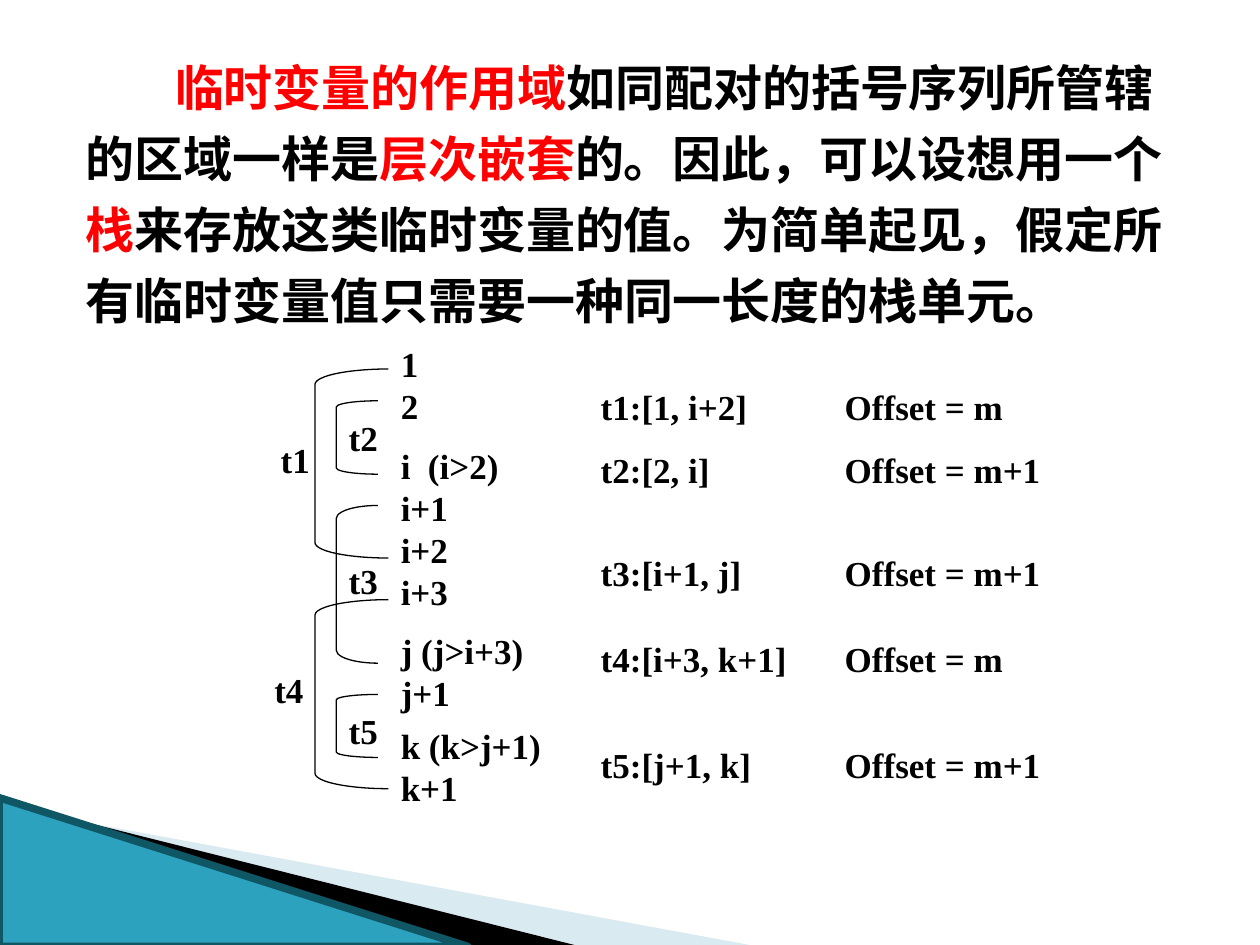
"""Build the slide on nested scopes of temporary variables kept on a stack."""
from dataclasses import dataclass

from lxml import etree
from pptx import Presentation
from pptx.dml.color import RGBColor
from pptx.enum import shapes, text
from pptx.oxml import ns
from pptx.util import Cm, Pt


@dataclass(frozen=True)
class Theme:
    font: str = "Times New Roman"
    ink: str = "000000"
    accent: str = "FF0000"
    teal: str = "2DA2BF"
    teal_dark: str = "105766"
    teal_line: str = "97C5D8"
    teal_pale: str = "A0CBDC"
    intro_size: float = 28
    intro_pitch: float = 40.5
    label_size: float = 20
    label_pitch: float = 24


@dataclass(frozen=True)
class Scope:
    name: str
    extent: str
    offset: str
    outer: bool
    top: float
    height: float
    bend: float
    label_left: float
    label_top: float
    row_top: float


@dataclass(frozen=True)
class Step:
    label: str
    gap: float = 0


THEME = Theme()
ROW_LEFT = 11.86
LABEL_HEIGHT = 1.09

SCOPES = [
    Scope("t1", "[1, i+2]", "m", True, 7.44, 3.81, 0.21, 5.41, 8.71, 7.65),
    Scope("t2", "[2, i]", "m+1", False, 8.08, 1.48, 0.15, 6.78, 8.28, 8.92),
    Scope("t3", "[i+1, j]", "m+1", False, 10.19, 3.18, 0.31, 6.78, 11.15, 11.0),
    Scope("t4", "[i+3, k+1]", "m", True, 12.09, 3.81, 0.21, 5.28, 13.36, 12.73),
    Scope("t5", "[j+1, k]", "m+1", False, 14.0, 1.27, 0.13, 6.78, 14.17, 14.86),
]

STEPS = [
    Step("1"), Step("2"), Step("i  (i>2)", 10), Step("i+1"), Step("i+2"),
    Step("i+3"), Step("j (j>i+3)", 10), Step("j+1"), Step("k (k>j+1)", 6), Step("k+1"),
]

INTRO = [
    ("临时变量的作用域", THEME.accent),
    ("如同配对的括号序列所管辖的区域一样是", THEME.ink),
    ("层次嵌套", THEME.accent),
    ("的。因此，可以设想用一个", THEME.ink),
    ("栈", THEME.accent),
    ("来存放这类临时变量的值。为简单起见，假定所有临时变量值只需要一种同一长度的栈单元。", THEME.ink),
]


def style_span(span, size: float, color: str) -> None:
    """Apply the slide's bold face to a run."""
    span.font.name = THEME.font
    span.font.size = Pt(size)
    span.font.bold = True
    span.font.color.rgb = RGBColor.from_string(color)


def add_box(page, left: float, top: float, width: float, height: float):
    """Add an empty wrapping text box and return its text frame."""
    frame = page.shapes.add_textbox(Cm(left), Cm(top), Cm(width), Cm(height)).text_frame
    frame.word_wrap = True
    frame.auto_size = text.MSO_AUTO_SIZE.SHAPE_TO_FIT_TEXT
    return frame


def add_label(page, words: str, left: float, top: float, width: float,
              height: float = LABEL_HEIGHT):
    """Add label text, one paragraph per line, and return its frame."""
    frame = add_box(page, left, top, width, height)
    frame.text = words
    for para in frame.paragraphs:
        para.line_spacing = Pt(THEME.label_pitch)
        for span in para.runs:
            style_span(span, THEME.label_size, THEME.ink)
    return frame


def add_row(page, scope: Scope) -> None:
    """Write a scope's extent and its offset at a tab stop."""
    words = f"{scope.name}:{scope.extent}\tOffset = {scope.offset}"
    frame = add_label(page, words, ROW_LEFT, scope.row_top, 11.23)
    properties = frame.paragraphs[0]._p.get_or_add_pPr()
    stops = etree.SubElement(properties, ns.qn("a:tabLst"))
    etree.SubElement(stops, ns.qn("a:tab"), pos=str(Cm(4.92)), algn="l")


def add_bracket(page, scope: Scope) -> None:
    """Draw the bracket that spans a scope."""
    left, width = (6.35, 1.48) if scope.outer else (6.78, 0.84)
    bracket = page.shapes.add_shape(shapes.MSO_SHAPE.LEFT_BRACKET, Cm(left),
                                    Cm(scope.top), Cm(width), Cm(scope.height))
    bracket.adjustments[0] = scope.bend
    bracket.shadow.inherit = False
    bracket.fill.background()
    bracket.line.color.rgb = RGBColor.from_string(THEME.ink)
    bracket.line.width = Pt(0.75)


def fill_solid(shape, color: str) -> None:
    """Fill a shape with one colour and no shadow."""
    shape.shadow.inherit = False
    shape.fill.solid()
    shape.fill.fore_color.rgb = RGBColor.from_string(color)


def add_wedge(page, points: list[tuple[float, float]], color: str):
    """Draw a borderless filled outline."""
    start, *rest = [(Cm(x), Cm(y)) for x, y in points]
    builder = page.shapes.build_freeform(*start)
    builder.add_line_segments(rest, close=True)
    wedge = builder.convert_to_shape()
    fill_solid(wedge, color)
    wedge.line.fill.background()
    return wedge


def add_corner(page) -> None:
    """Draw the layered wedges in the lower left corner."""
    pale = add_wedge(page, [(1.4, 16.52), (15.11, 19.05), (11.58, 19.05)], THEME.teal_pale)
    tint = pale.fill._xPr.find(".//" + ns.qn("a:srgbClr"))
    etree.SubElement(tint, ns.qn("a:alpha"), val="40000")
    add_wedge(page, [(1.35, 16.48), (11.58, 19.05), (9.45, 19.05)], THEME.ink)
    edge = page.shapes.add_connector(shapes.MSO_CONNECTOR.STRAIGHT,
                                     Cm(0), Cm(16.08), Cm(9.42), Cm(19.05))
    edge.line.color.rgb = RGBColor.from_string(THEME.teal_line)
    edge.line.width = Pt(0.95)
    etree.SubElement(edge._element.spPr, ns.qn("a:effectLst"))
    triangle = page.shapes.add_shape(shapes.MSO_SHAPE.RIGHT_TRIANGLE,
                                     Cm(-0.02), Cm(16.08), Cm(9.45), Cm(3))
    fill_solid(triangle, THEME.teal)
    triangle.line.color.rgb = RGBColor.from_string(THEME.teal_dark)
    triangle.line.width = Pt(4.33)


def add_intro(page) -> None:
    """Write the opening paragraph with its highlighted terms."""
    para = add_box(page, 1.48, 0.79, 22.43, 5.87).paragraphs[0]
    para.line_spacing = Pt(THEME.intro_pitch)
    para._p.get_or_add_pPr().set("indent", str(Cm(1.8)))
    for words, color in INTRO:
        span = para.add_run()
        span.text = words
        style_span(span, THEME.intro_size, color)


def add_steps(page) -> None:
    """List the instruction numbers beside the brackets."""
    words = "\n".join(step.label for step in STEPS)
    frame = add_label(page, words, 7.83, 6.78, 3.9, 9.83)
    for para, step in zip(frame.paragraphs, STEPS):
        para.space_before = Pt(step.gap)


def main() -> None:
    """Build and save the deck."""
    deck = Presentation()
    deck.slide_width, deck.slide_height = Cm(25.4), Cm(19.05)
    page = deck.slides.add_slide(deck.slide_layouts[6])
    add_corner(page)
    for scope in SCOPES:
        add_bracket(page, scope)
        add_label(page, scope.name, scope.label_left, scope.label_top, 1.48)
        add_row(page, scope)
    add_steps(page)
    add_intro(page)
    deck.save("out.pptx")


if __name__ == "__main__":
    main()
